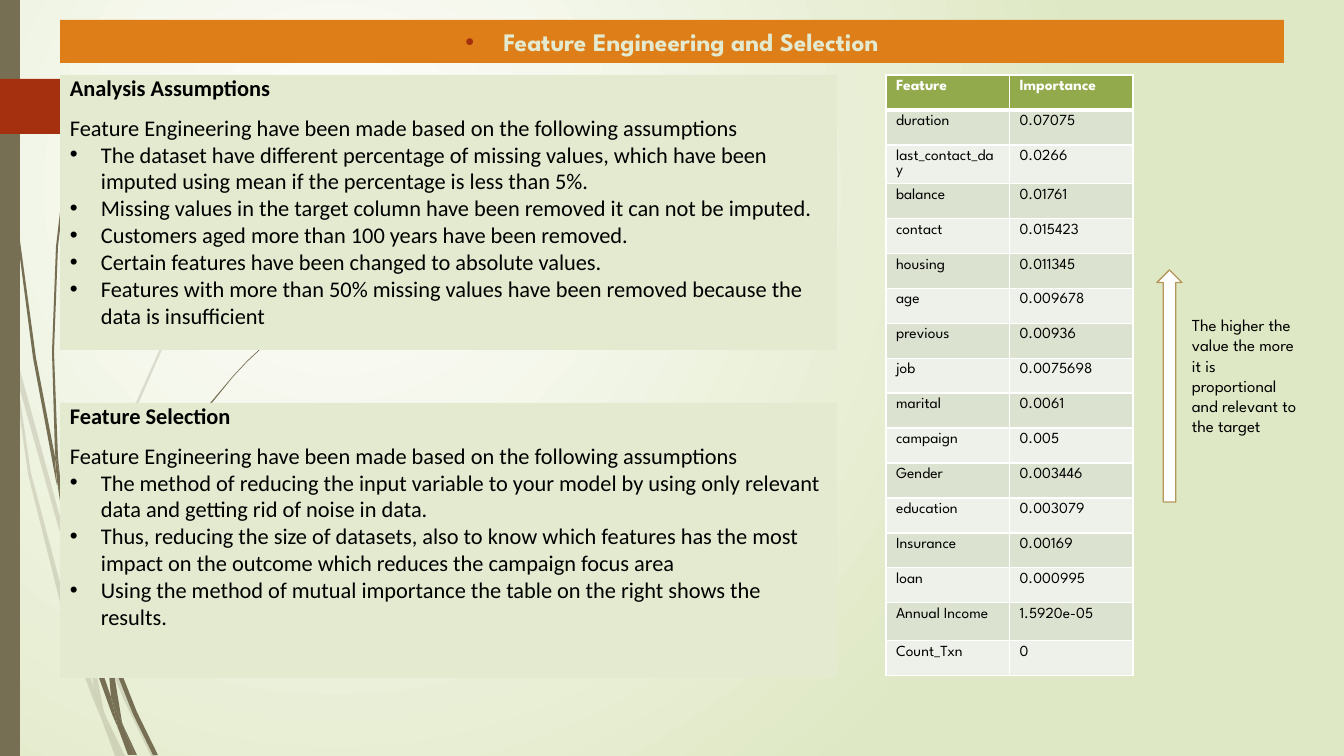
from itertools import cycle

from lxml import etree
from pptx import Presentation
from pptx.dml.color import RGBColor
from pptx.enum.shapes import MSO_SHAPE as SHAPE
from pptx.enum.text import MSO_ANCHOR as ANCHOR, PP_ALIGN as ALIGN
from pptx.oxml.ns import qn
from pptx.util import Emu, Pt

SCALE = 914400 / 100.8
WHITE = RGBColor(0xFF, 0xFF, 0xFF)
BLACK = RGBColor(0, 0, 0)
LIME = RGBColor(0xDF, 0xE8, 0xC4)
OLIVE = RGBColor(0x76, 0x6F, 0x54)
RED = RGBColor(0xA5, 0x30, 0x10)
ORANGE = RGBColor(0xDE, 0x7E, 0x18)
PALE = RGBColor(0xE3, 0xEA, 0xCF)
GREEN = RGBColor(0x92, 0xAA, 0x4C)
BAND_DARK = RGBColor(0xDC, 0xE2, 0xD0)
BAND_LIGHT = RGBColor(0xEE, 0xF1, 0xE9)
GOLD = RGBColor(0xB4, 0x97, 0x5A)

TITLE = {"name": "League Spartan", "size": Pt(18), "bold": True}
BODY = {"name": "Calibri", "size": Pt(16), "bold": False}
HEADING = {**BODY, "bold": True}
CELL = {"name": "League Spartan", "size": Pt(11), "bold": False}
NOTE = {**CELL, "size": Pt(12)}

PALE_WISPS = [
    [(11, 353), (9, 325), (0, 284), (0, 301), (10, 347)],
    [(58, 526), (85, 604), (86, 591), (62, 524), (14, 348), (17, 379)],
    [(93, 612), (89, 601), (89, 615), (124, 700), (151, 756), (156, 756), (128, 698)],
    [(120, 756), (125, 756), (106, 717)],
    [(94, 688), (71, 624), (31, 473), (17, 379), (11, 353), (28, 474), (66, 626),
     (93, 699), (102, 720), (100, 713)],
    [(85, 604), (88, 651), (94, 688), (97, 698), (106, 717), (104, 712), (92, 651), (89, 615)],
    [(89, 589), (111, 466), (161, 352), (231, 247), (270, 200), (292, 176), (314, 155),
     (314, 154), (291, 176), (270, 199), (230, 246), (159, 351), (108, 465), (86, 589),
     (86, 591), (89, 601)],
    [(102, 720), (115, 756), (120, 756)],
    [(97, 698), (94, 688), (100, 713), (102, 720), (120, 756), (106, 717)],
]
DARK_WISPS = [
    [(7, 111), (17, 235), (33, 358), (56, 481), (57, 485), (55, 461), (55, 457), (36, 358),
     (19, 234), (8, 110), (5, 48), (4, 0), (3, 0), (4, 48)],
    [(89, 597), (107, 650), (107, 636), (94, 595), (60, 476), (65, 509)],
    [(114, 654), (111, 646), (112, 661), (133, 714), (153, 755), (158, 755), (137, 712)],
    [(111, 697), (99, 662), (73, 560), (65, 509), (57, 481), (69, 561), (94, 664),
     (112, 714), (118, 728), (117, 723)],
    [(60, 476), (58, 457), (54, 352), (58, 247), (64, 195), (71, 142), (70, 142),
     (62, 195), (56, 247), (52, 352), (55, 453)],
    [(134, 755), (137, 755), (123, 725)],
    [(57, 481), (65, 509), (60, 476), (55, 453), (55, 457)],
    [(112, 638), (126, 556), (159, 480), (207, 409), (233, 377), (247, 362), (263, 347),
     (262, 347), (247, 361), (233, 376), (206, 408), (157, 478), (123, 555), (107, 636),
     (111, 646)],
    [(118, 728), (128, 755), (132, 755)],
    [(107, 650), (111, 697), (117, 712), (123, 725), (122, 722), (112, 661), (110, 656)],
    [(117, 712), (111, 697), (117, 723), (118, 728), (131, 755), (134, 755), (123, 725)],
]
INTRO = "Feature Engineering have been made based on the following assumptions"
ASSUMPTIONS = [
    "The dataset have different percentage of missing values, which have been "
    "imputed using mean if the percentage is less than 5%.",
    "Missing values in the target column have been removed it can not be imputed.",
    "Customers aged more than 100 years have been removed.",
    "Certain features have been changed to absolute values.",
    "Features with more than 50% missing values have been removed because the "
    "data is insufficient",
]
SELECTION = [
    "The method of reducing the input variable to your model by using only relevant "
    "data and getting rid of noise in data.",
    "Thus, reducing the size of datasets, also to know which features has the most "
    "impact on the outcome which reduces the campaign focus area",
    "Using the method of mutual importance the table on the right shows the results.",
]
IMPORTANCES = [
    ("Feature", "Importance"), ("duration", "0.07075"), ("last_contact_day", "0.0266"),
    ("balance", "0.01761"), ("contact", "0.015423"), ("housing", "0.011345"),
    ("age", "0.009678"), ("previous", "0.00936"), ("job", "0.0075698"),
    ("marital", "0.0061"), ("campaign", "0.005"), ("Gender", "0.003446"),
    ("education", "0.003079"), ("Insurance", "0.00169"), ("loan", "0.000995"),
    ("Annual Income", "1.5920e-05"), ("Count_Txn", "0"),
]


def px(*lengths):
    """Turn pixel lengths into EMU."""
    return [Emu(round(length * SCALE)) for length in lengths]


def add_xml(parent, tag, **attributes):
    """Append a DrawingML element and return it."""
    values = {key: str(value) for key, value in attributes.items()}
    return etree.SubElement(parent, qn(tag), values)


def paint(shape, color, line=None):
    """Give a shape a flat fill and an optional one-point outline."""
    shape.shadow.inherit = False
    shape.fill.solid()
    shape.fill.fore_color.rgb = color
    if line is None:
        shape.line.fill.background()
    else:
        shape.line.color.rgb = line
        shape.line.width = Pt(1)
    return shape


def add_box(page, kind, place, color, line=None):
    """Add a painted preset shape."""
    return paint(page.shapes.add_shape(kind, *px(*place)), color, line)


def add_wisp(page, points, alpha=None):
    """Add one blade of the grass ornament."""
    builder = page.shapes.build_freeform(*points[0], scale=SCALE)
    builder.add_line_segments(points[1:])
    blade = paint(builder.convert_to_shape(), OLIVE)
    if alpha:
        color = blade.element.spPr.find(qn("a:solidFill"))[0]
        add_xml(color, "a:alpha", val=alpha * 1000)


def write(para, text, font, color=BLACK, **layout):
    """Write one formatted run into a paragraph."""
    span = para.add_run()
    span.text = text
    span.font.color.rgb = color
    for key, value in font.items():
        setattr(span.font, key, value)
    for key, value in {"alignment": ALIGN.LEFT, **layout}.items():
        setattr(para, key, value)


def add_bullet(para, indent, color=None):
    """Hang a round bullet on a paragraph."""
    properties = para._p.get_or_add_pPr()
    (width,) = px(indent)
    properties.set("marL", str(width))
    properties.set("indent", str(-width))
    if color is not None:
        add_xml(add_xml(properties, "a:buClr"), "a:srgbClr", val=color)
    add_xml(properties, "a:buFont", typeface="Arial")
    add_xml(properties, "a:buChar", char="•")


def add_panel(page, top, heading, items):
    """Add a text panel with heading, introduction and bullets."""
    frame = add_box(page, SHAPE.RECTANGLE, (60, top, 777, 275), PALE).text_frame
    frame.word_wrap = True
    frame.vertical_anchor = ANCHOR.TOP
    write(frame.paragraphs[0], heading, HEADING, line_spacing=0.75)
    write(frame.add_paragraph(), INTRO, BODY, line_spacing=0.75, space_before=Pt(14.6))
    for item in items:
        para = frame.add_paragraph()
        write(para, item, BODY)
        add_bullet(para, 31)


def add_borders(cell, bottom):
    """Draw white cell borders with the given bottom width in points."""
    properties = cell._tc.get_or_add_tcPr()
    for side, width in {"L": 1, "R": 1, "T": 1, "B": bottom}.items():
        line = add_xml(properties, f"a:ln{side}", w=Pt(width))
        add_xml(add_xml(line, "a:solidFill"), "a:srgbClr", val=WHITE)


def add_importance_table(page):
    """Add the banded table of feature importances."""
    place = px(886, 75, 247, 35 * len(IMPORTANCES))
    table = page.shapes.add_table(len(IMPORTANCES), 2, *place).table
    bands = cycle([BAND_DARK, BAND_LIGHT])
    for index, values in enumerate(IMPORTANCES):
        header = index == 0
        fill = GREEN if header else next(bands)
        (table.rows[index].height,) = px(38 if values[0] == "Annual Income" else 35)
        for cell, value in zip(table.rows[index].cells, values):
            add_borders(cell, 3 if header else 1)
            cell.fill.solid()
            cell.fill.fore_color.rgb = fill
            write(cell.text_frame.paragraphs[0], value, {**CELL, "bold": header},
                  WHITE if header else BLACK)


def add_background(page):
    """Fill the page with a round gradient and draw the left ornament."""
    fill = page.background.fill
    fill.gradient()
    for stop, color, position in zip(fill.gradient_stops, (WHITE, LIME), (0, 1)):
        stop.color.rgb = color
        stop.position = position
    gradient = page.element.find(".//" + qn("a:gradFill"))
    gradient.remove(gradient.find(qn("a:lin")))
    circle = add_xml(gradient, "a:path", path="circle")
    add_xml(circle, "a:fillToRect", l=50000, t=50000, r=100000, b=100000)
    for points in PALE_WISPS:
        add_wisp(page, points, 20)
    for points in DARK_WISPS:
        add_wisp(page, points)
    add_box(page, SHAPE.RECTANGLE, (0, 0, 20, 756), OLIVE)
    add_box(page, SHAPE.PENTAGON, (0, 79, 175, 55), RED).adjustments[0] = 0.45


def main():
    """Build the feature engineering slide."""
    deck = Presentation()
    deck.slide_width, deck.slide_height = px(1344, 756)
    page = deck.slides.add_slide(deck.slide_layouts[6])
    add_background(page)
    banner = add_box(page, SHAPE.RECTANGLE, (60, 20, 1224, 43), ORANGE)
    para = banner.text_frame.paragraphs[0]
    write(para, "Feature Engineering and Selection", TITLE, PALE, alignment=ALIGN.CENTER)
    add_bullet(para, 38, RED)
    add_panel(page, 75, "Analysis Assumptions", ASSUMPTIONS)
    add_panel(page, 403, "Feature Selection", SELECTION)
    add_importance_table(page)
    add_box(page, SHAPE.UP_ARROW, (1157, 270, 25, 232), WHITE, GOLD)
    note = page.shapes.add_textbox(*px(1182, 310, 125, 152)).text_frame
    note.word_wrap = True
    write(note.paragraphs[0], "The higher the value the more it is proportional "
          "and relevant to the target", NOTE)
    deck.save("out.pptx")


main()
